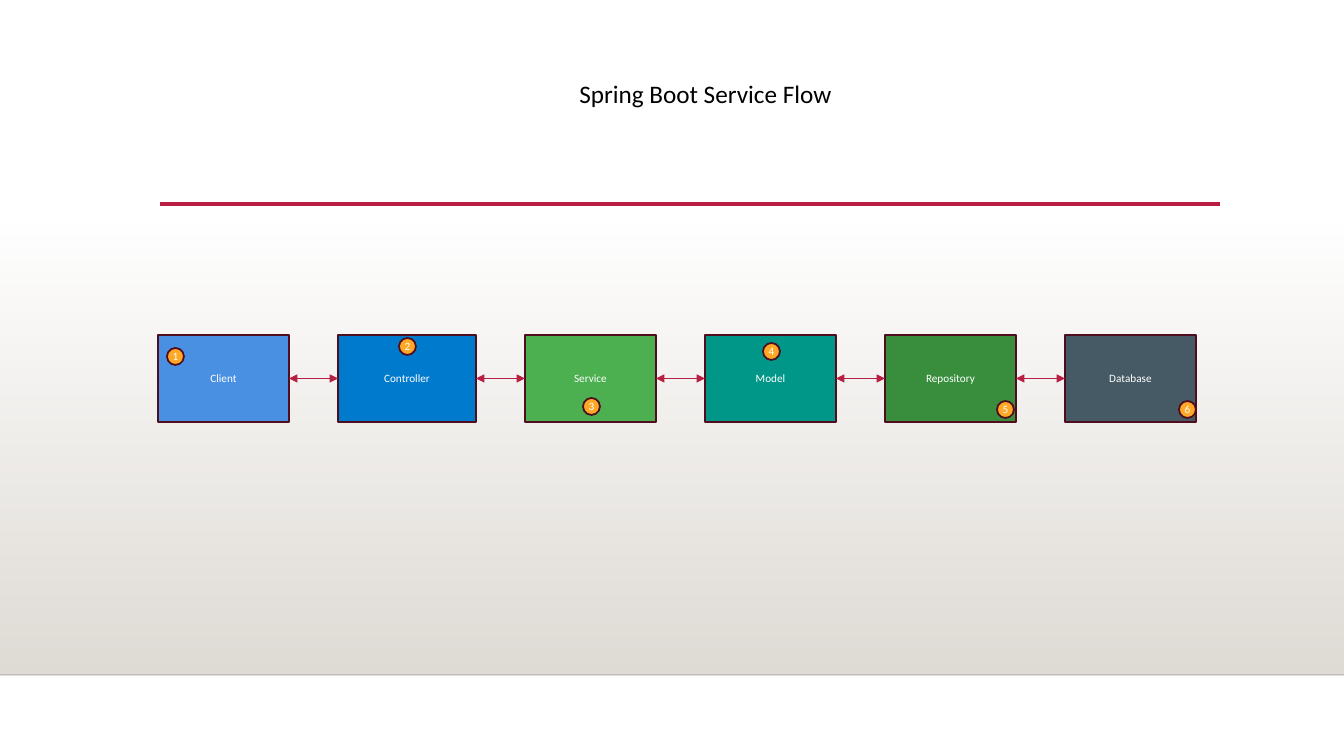
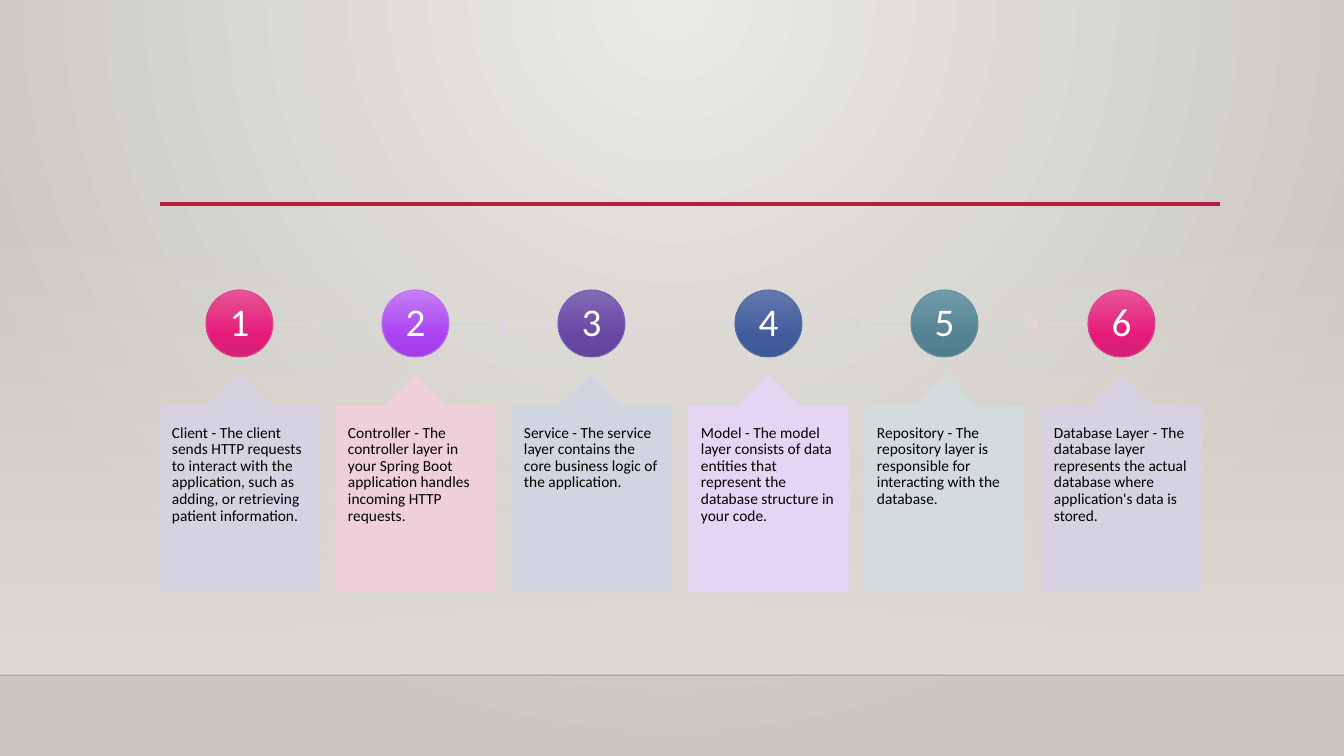
from dataclasses import dataclass
from lxml import etree
from pptx import Presentation
from pptx import util as u
from pptx.dml import color
from pptx.enum import shapes, text
from pptx.oxml import ns

PX = 914400 / 100.8
WIDE, HIGH = 1344, 756


@dataclass(frozen=True)
class Theme:
    font: str = "Calibri"
    white: str = "FFFFFF"
    black: str = "000000"
    rule: str = "B71E42"
    edge: str = "500D1D"
    badge: str = "FFA726"
    band: str = "DFDBD5"
    floor: str = "000001"
    glow: tuple = ((0, "ECEAE7", 100), (100, "CAC7C1", 100))
    tints: tuple = ("D7D2E3", "F2CFDB", "D1D5E1", "E7D5F9", "D4DCDF")
    balls: tuple = (
        ("E75597", "E51A79", "CF2374", "DE478E"),
        ("C57FF7", "AA41F3", "A13FE5", "BC72F0"),
        ("836AB8", "6648A3", "60459A", "795FAF"),
        ("6378B0", "425B9B", "3F5793", "586EA6"),
        ("729BA9", "538393", "4F7C8B", "6892A0"),
    )
    title: int = 18
    small: int = 8
    body: int = 11
    count: int = 28


T = Theme()

FLOW = [
    ("Client", 131, "4A90E2", 9, 13),
    ("Controller", 138, "007ACC", 61, 3),
    ("Service", 131, "4CAF50", 58, 63),
    ("Model", 131, "009688", 58, 8),
    ("Repository", 131, "388E3C", 112, 66),
    ("Database", 131, "455A64", 114, 66),
]

STEPS = [
    "Client - The client sends HTTP requests to interact with the application, "
    "such as adding, or retrieving patient information.",
    "Controller - The controller layer in your Spring Boot application handles "
    "incoming HTTP requests.",
    "Service - The service layer contains the core business logic of the application.",
    "Model - The model layer consists of data entities that represent the database "
    "structure in your code.",
    "Repository - The repository layer is responsible for interacting with the database.",
    "Database Layer - The database layer represents the actual database where "
    "application's data is stored.",
]


def px(n):
    return u.Emu(round(n * PX))


def rgb(tone):
    return color.RGBColor.from_string(tone)


def put(root, tag, **attrs):
    return etree.SubElement(root, ns.qn(tag), attrs)


def fade(item, pct):
    for node in item._element.spPr.iter(ns.qn("a:srgbClr")):
        put(node, "a:alpha", val=str(pct * 1000))


def blend(fill, root, stops, round_=False):
    fill.gradient()
    grad = next(root.iter(ns.qn("a:gradFill")))
    if not round_:
        fill.gradient_angle = 270
    listing = grad.find(ns.qn("a:gsLst"))
    for stop in list(listing):
        listing.remove(stop)
    for pos, tone, solid in stops:
        stop = put(listing, "a:gs", pos=str(pos * 1000))
        clr = put(stop, "a:srgbClr", val=tone)
        if solid < 100:
            put(clr, "a:alpha", val=str(solid * 1000))
    if round_:
        grad.remove(grad.find(ns.qn("a:lin")))
        way = put(grad, "a:path", path="circle")
        put(way, "a:fillToRect", l="43000", t="0", r="43000", b="100000")


def shape(slide, kind, box, fill=None, line=None, width=0.75):
    item = slide.shapes.add_shape(kind, *map(px, box))
    item.shadow.inherit = False
    if fill:
        item.fill.solid()
        item.fill.fore_color.rgb = rgb(fill)
    if line:
        item.line.color.rgb = rgb(line)
        item.line.width = u.Pt(width)
    else:
        item.line.fill.background()
    return item


def line(slide, x1, y1, x2, y2, tone, width):
    item = slide.shapes.add_connector(
        shapes.MSO_CONNECTOR.STRAIGHT, *map(px, (x1, y1, x2, y2)))
    item.line.color.rgb = rgb(tone)
    item.line.width = u.Pt(width)
    put(item._element.spPr, "a:effectLst")
    return item


def write(item, words, size, tone, inset=(0, 0), align="CENTER",
          anchor="MIDDLE", space=1.0, wrap=True):
    frame = item.text_frame
    frame.word_wrap = wrap
    frame.auto_size = text.MSO_AUTO_SIZE.NONE
    frame.vertical_anchor = getattr(text.MSO_ANCHOR, anchor)
    frame.margin_left = frame.margin_right = px(inset[0])
    frame.margin_top = frame.margin_bottom = px(inset[1])
    para = frame.paragraphs[0]
    para.alignment = getattr(text.PP_ALIGN, align)
    para.line_spacing = space
    run = para.add_run()
    run.text = words
    run.font.name = T.font
    run.font.size = u.Pt(size)
    run.font.color.rgb = rgb(tone)


def stage(slide):
    band = shape(slide, shapes.MSO_SHAPE.RECTANGLE, (0, 223, WIDE, 452))
    blend(band.fill, band._element, ((0, T.band, 0), (100, T.band, 100)))
    fade(line(slide, 0, 675, WIDE, 675, T.floor, 1), 20)
    line(slide, 160, 204, 1220, 204, T.rule, 2.5)


def head(slide, words, box):
    title = slide.shapes.title
    title.left, title.top, title.width, title.height = map(px, box)
    write(title, words, T.title, T.black, (10, 5), anchor="TOP")


def link(slide, left, right):
    arrow = line(slide, 0, 0, 1, 1, T.rule, 0.75)
    arrow.begin_connect(left, 3)
    arrow.end_connect(right, 1)
    ln = arrow.line._get_or_add_ln()
    put(ln, "a:headEnd", type="triangle")
    put(ln, "a:tailEnd", type="triangle")


def flow(slide, x, y, high, gap):
    boxes, spots = [], []
    for name, wide, fill, dx, dy in FLOW:
        box = shape(slide, shapes.MSO_SHAPE.RECTANGLE,
                    (x, y, wide, high), fill, T.edge, 1.25)
        write(box, name, T.small, T.white, (10, 5))
        boxes.append(box)
        spots.append((x + dx, y + dy, 17, 17))
        x += wide + gap
    for left, right in zip(boxes, boxes[1:]):
        link(slide, left, right)
    for num, spot in enumerate(spots, 1):
        badge = shape(slide, shapes.MSO_SHAPE.OVAL, spot, T.badge, T.edge, 1.25)
        write(badge, str(num), T.small, T.white, wrap=False)


def ball(slide, num, box):
    *tones, edge = T.balls[(num - 1) % len(T.balls)]
    item = shape(slide, shapes.MSO_SHAPE.OVAL, box, line=edge)
    blend(item.fill, item._element,
          [(pos, tone, 100) for pos, tone in zip((0, 69, 100), tones)])
    write(item, str(num), T.count, T.white, space=0.9, wrap=False)


def step(slide, i, x, y, wide):
    def tint(n):
        return T.tints[(i + n) % len(T.tints)]

    last = i == len(STEPS) - 1
    mid = y + 34
    start = x + wide // 2 if i == 0 else x
    end = x + wide // 2 if last else x + wide
    fade(line(slide, start, mid, end, mid, tint(1), 0.75), 90)
    if not last:
        tip = shape(slide, shapes.MSO_SHAPE.CHEVRON,
                    (x + wide + 5, y + 28, 8, 15), tint(2), tint(2))
        tip.adjustments[0] = 0.9
        fade(tip, 90)
    ball(slide, i + 1, (x + (wide - 67) // 2, y, 67, 67))
    card = shape(slide, shapes.MSO_SHAPE.UP_ARROW_CALLOUT,
                 (x, y + 85, wide, 217), tint(0), tint(0))
    for n, value in enumerate((0.5, 0.2, 0.2, 1)):
        card.adjustments[n] = value
    fade(card, 90)
    write(card, STEPS[i], T.body, T.black, (12, 18), "LEFT", "TOP", 0.9)


def steps(slide, x, y, span, wide):
    for i in range(len(STEPS)):
        step(slide, i, x + span * i // (len(STEPS) - 1), y, wide)


def main():
    deck = Presentation()
    deck.slide_width, deck.slide_height = px(WIDE), px(HIGH)

    first = deck.slides.add_slide(deck.slide_layouts[5])
    first.background.fill.solid()
    first.background.fill.fore_color.rgb = rgb(T.white)
    stage(first)
    head(first, "Spring Boot Service Flow", (493, 73, 425, 40))
    flow(first, 158, 335, 87, 49)

    second = deck.slides.add_slide(deck.slide_layouts[6])
    blend(second.background.fill, second._element, T.glow, True)
    stage(second)
    steps(second, 160, 290, 882, 159)

    deck.save("out.pptx")


if __name__ == "__main__":
    main()
